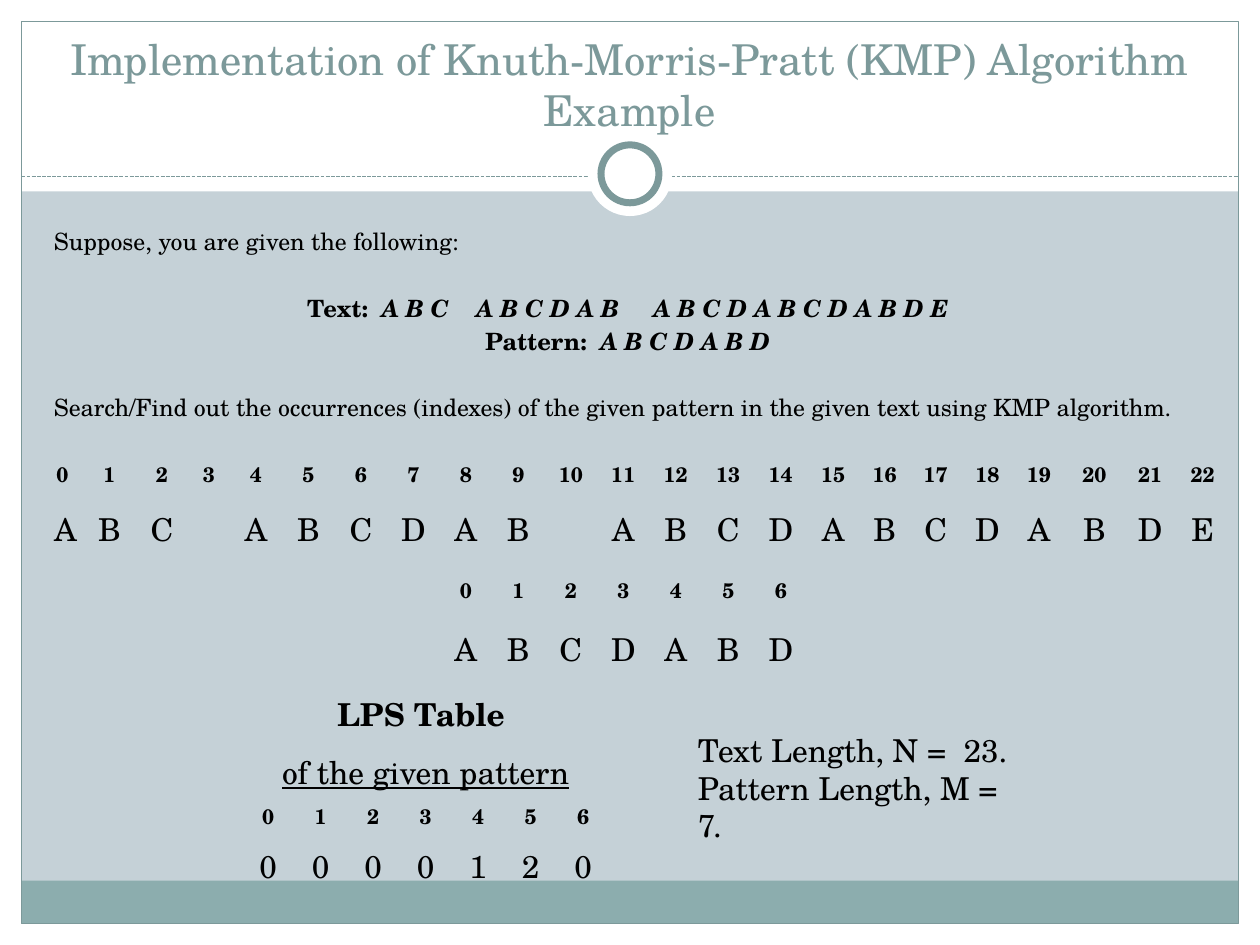
from dataclasses import dataclass

from lxml import etree
from pptx import Presentation
from pptx.dml.color import RGBColor
from pptx.enum.dml import MSO_LINE
from pptx.enum.shapes import MSO_CONNECTOR, MSO_SHAPE
from pptx.enum.text import MSO_ANCHOR, MSO_AUTO_SIZE, PP_ALIGN
from pptx.oxml.ns import qn
from pptx.util import Inches, Pt


@dataclass(frozen=True)
class Theme:
    font: str = "TeX Gyre Schola"
    background: RGBColor = RGBColor.from_string("C5D1D7")
    paper: RGBColor = RGBColor.from_string("FFFFFF")
    accent: RGBColor = RGBColor.from_string("7C999A")
    footer: RGBColor = RGBColor.from_string("8CADAE")
    ink: RGBColor = RGBColor.from_string("000000")
    title: float = 24.3
    body: float = 13.6
    index: float = 12
    letter: float = 18


THEME = Theme()
NO_GRID_STYLE = "{2D5ABB26-0587-4C30-8999-92F81FD0307C}"
TEXT = "ABC ABCDAB ABCDABCDABDE"
PATTERN = "ABCDABD"
LPS = "0000120"
PATTERN_START = 8
CELL_WIDTH = 5 / 12
SPECIAL_WIDTHS = {0: 0.33, 3: 0.33, 16: 0.4, 17: 0.41, 18: 0.41, 19: 0.41, 20: 0.47}


def add_span(para, text, size, color=THEME.ink, bold=False, italic=False, underline=False):
    span = para.add_run()
    span.text = text
    font = span.font
    font.name, font.size, font.color.rgb = THEME.font, Pt(size), color
    font.bold, font.italic, font.underline = bold, italic, underline


def add_figure(page, kind, box, fill=None, line=None, width=0.75):
    shape = page.shapes.add_shape(kind, *map(Inches, box))
    shape.shadow.inherit = False
    if fill is None:
        shape.fill.background()
    else:
        shape.fill.solid()
        shape.fill.fore_color.rgb = fill
    if line is None:
        shape.line.fill.background()
    else:
        shape.line.color.rgb = line
        shape.line.width = Pt(width)


def add_backdrop(page, box):
    """White margins, footer band, border and the ring on the dashed rule."""
    left, top, width, height = box
    margin, rule, middle = 0.17, 1.4, left + width / 2
    page.background.fill.solid()
    page.background.fill.fore_color.rgb = THEME.background
    bands = [
        (left, top + height - margin, width, margin),
        (left, top, width, 1.52),
        (left, top, margin, height),
        (left + width - margin, top, margin, height),
    ]
    for band in bands:
        add_figure(page, MSO_SHAPE.RECTANGLE, band, THEME.paper)
    inner = (left + margin, top + margin, width - 2 * margin, height - 2 * margin)
    add_figure(page, MSO_SHAPE.RECTANGLE, (inner[0], 6.99, inner[2], 0.34), THEME.footer)
    add_figure(page, MSO_SHAPE.RECTANGLE, inner, line=THEME.accent)

    # Dashed rule under the title
    dashes = page.shapes.add_connector(
        MSO_CONNECTOR.STRAIGHT, Inches(inner[0]), Inches(rule),
        Inches(inner[0] + inner[2]), Inches(rule))
    dashes.line.color.rgb = THEME.accent
    dashes.line.width = Pt(0.75)
    dashes.line.dash_style = MSO_LINE.SQUARE_DOT
    etree.SubElement(dashes.element.spPr, qn("a:effectLst"))

    # Ring
    for size, line in ((0.67, None), (0.46, THEME.accent)):
        ring = (middle - size / 2, 1.38 - size / 2, size, size)
        add_figure(page, MSO_SHAPE.OVAL, ring, THEME.paper, line, 4)


def add_title(page, box):
    title = page.shapes.title
    title.left, title.top, title.width, title.height = map(Inches, box)
    title.element.getparent().append(title.element)  # in front of the backdrop
    frame = title.text_frame
    frame.vertical_anchor = MSO_ANCHOR.MIDDLE
    para = frame.paragraphs[0]
    para.alignment = PP_ALIGN.CENTER
    add_span(para, "Implementation of Knuth-Morris-Pratt (KMP) Algorithm", THEME.title, THEME.accent)
    para.add_line_break()
    add_span(para, "Example", THEME.title, THEME.accent)


def add_text_box(page, box):
    frame = page.shapes.add_textbox(*map(Inches, box)).text_frame
    frame.word_wrap = True
    return frame


def next_para(frame, position):
    return frame.add_paragraph() if position else frame.paragraphs[0]


def add_problem(page, box):
    frame = add_text_box(page, box)
    close, apart = 2.7, 21.7
    lines = [
        (PP_ALIGN.JUSTIFY, close, "Suppose, you are given the following:", None),
        (PP_ALIGN.CENTER, apart, "Text:  ", "A B C    A B C D A B     A B C D A B C D A B D E"),
        (PP_ALIGN.CENTER, close, "Pattern:  ", "A B C D A B D"),
        (PP_ALIGN.JUSTIFY, apart, "Search/Find out the occurrences (indexes) of the given "
         "pattern in the given text using KMP algorithm.", None),
    ]
    for position, (align, gap, lead, letters) in enumerate(lines):
        para = next_para(frame, position)
        para.alignment = align
        para.space_before = Pt(gap)
        add_span(para, lead, THEME.body, bold=letters is not None)
        if letters:
            add_span(para, letters, THEME.body, bold=True, italic=True)


def add_plain_table(page, left, top, widths, heights):
    graphic = page.shapes.add_table(
        len(heights), len(widths), Inches(left), Inches(top),
        Inches(sum(widths)), Inches(sum(heights)))
    table = graphic.table
    table.first_row = table.horz_banding = False
    for style in graphic.element.iter(qn("a:tableStyleId")):
        style.text = NO_GRID_STYLE
    for column, width in zip(table.columns, widths):
        column.width = Inches(width)
    for row, height in zip(table.rows, heights):
        row.height = Inches(height)
    for cell in table.iter_cells():
        cell.fill.background()
        cell.vertical_anchor = MSO_ANCHOR.MIDDLE
    return table


def fill_indexed(table, row, start, values):
    """Bold indexes in one row, their values in the row below."""
    for index, value in enumerate(values):
        for offset, text, size in ((0, str(index), THEME.index), (1, value.strip(), THEME.letter)):
            if text:
                para = table.cell(row + offset, start + index).text_frame.paragraphs[0]
                para.alignment = PP_ALIGN.CENTER
                add_span(para, text, size, bold=offset == 0)


def add_alignment_table(page, left, top):
    widths = [SPECIAL_WIDTHS.get(index, CELL_WIDTH) for index in range(len(TEXT))]
    table = add_plain_table(page, left, top, widths, [0.37, 0.5, 0.46, 0.48])
    fill_indexed(table, 0, 0, TEXT)
    fill_indexed(table, 2, PATTERN_START, PATTERN)


def add_lps_table(page, left, top):
    table = add_plain_table(page, left, top, [CELL_WIDTH] * len(LPS), [0.88, 0.33, 0.48])
    header = table.cell(0, 0)
    header.merge(table.cell(0, len(LPS) - 1))
    for position, text in enumerate(("LPS Table ", "of the given pattern")):
        para = next_para(header.text_frame, position)
        para.alignment = PP_ALIGN.CENTER
        para.space_before = Pt(6.4 * position)
        add_span(para, text, THEME.letter, bold=position == 0, underline=position == 1)
    fill_indexed(table, 1, 0, LPS)


def add_lengths(page, box):
    frame = add_text_box(page, box)
    frame.auto_size = MSO_AUTO_SIZE.SHAPE_TO_FIT_TEXT
    for position, text in enumerate(("Text Length, N =  23.", "Pattern Length, M = 7.")):
        add_span(next_para(frame, position), text, THEME.letter)


def main():
    deck = Presentation()
    deck.slide_width, deck.slide_height = Inches(10), Inches(7.5)
    page = deck.slides.add_slide(deck.slide_layouts[5])
    add_backdrop(page, (0, 0, 10, 7.5))
    add_title(page, (0.33, 0.25, 9.33, 0.83))
    add_problem(page, (0.33, 1.75, 9.3, 1.66))
    add_alignment_table(page, 0.33, 3.58)
    add_lps_table(page, 1.92, 5.42)
    add_lengths(page, (5.44, 5.75, 2.73, 0.71))
    deck.save("out.pptx")


if __name__ == "__main__":
    main()
